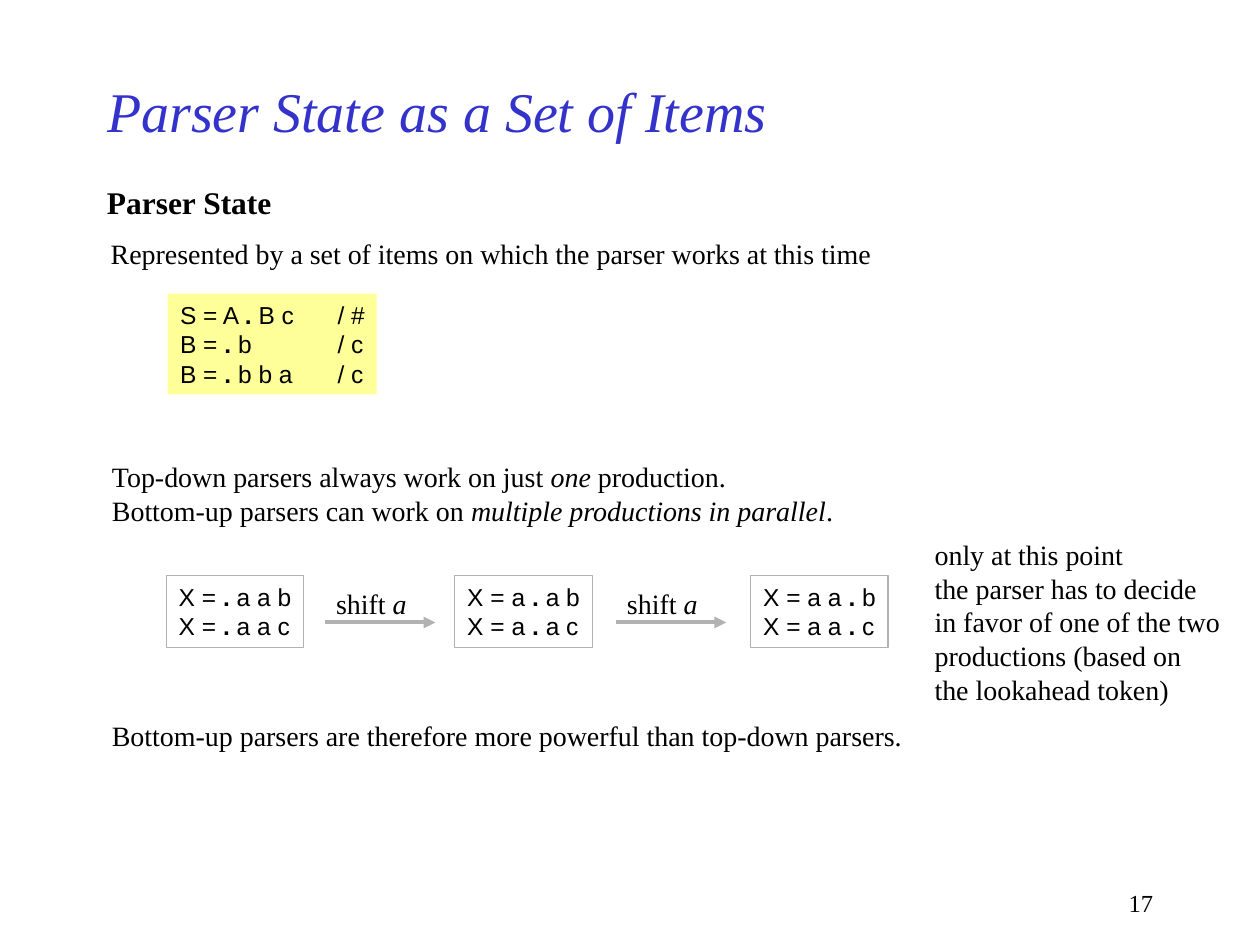
from lxml.etree import SubElement
from pptx import Presentation
from pptx.dml.color import RGBColor
from pptx.enum.shapes import MSO_CONNECTOR as Conn, MSO_SHAPE as Shape
from pptx.enum.text import MSO_ANCHOR as Anchor, MSO_AUTO_SIZE as Auto, PP_ALIGN as Align
from pptx.oxml.ns import qn
from pptx.util import Pt

SERIF, SANS = "Times New Roman", "Arial"
BLACK, BLUE, GRAY, YELLOW = "000000", "3333CC", "B2B2B2", "FFFF99"

# Text between bars is emphasized: italic in prose, bold in items.
TITLE = "Parser State as a Set of Items"
HEAD = "|Parser State|"
PROSE = [  # left, top, width, height, lines
    (56.2, 131.8, 449.3, 26.6,
     ["Represented by a set of items on which the parser works at this time"]),
    (56.9, 259.2, 431.3, 46,
     ["Top-down parsers always work on just |one| production.",
      "Bottom-up parsers can work on |multiple productions in parallel|."]),
    (527, 303.8, 177.1, 103.7,
     ["only at this point", "the parser has to decide", "in favor of one of the two",
      "productions (based on", "the lookahead token)"]),
    (56.9, 406.8, 470.2, 26.6,
     ["Bottom-up parsers are therefore more powerful than top-down parsers."]),
]
ITEMS = ["S = A |.| B c\t/ #", "B = |.| b\t/ c", "B = |.| b b a\t/ c"]
STATES = [  # left, items
    (95, ["X = |.| a a b", "X = |.| a a c"]),
    (259.9, ["X = a |.| a b", "X = a |.| a c"]),
    (429, ["X = a a |.| b", "X = a a |.| c"]),
]
SHIFT = "shift |a|"
ARROWS = [185.8, 352]
ARROW_W, ARROW_Y = 63, 355.7
PAGE = "17"


def color(text):
    return RGBColor.from_string(text)


def write(shape, lines, size, font=SERIF, ink=BLACK, mark="italic",
          align=Align.LEFT, anchor=Anchor.TOP, wrap=False, tab=None):
    """Fill a shape with lines, setting the given mark on parts between bars."""
    frame = shape.text_frame
    frame.auto_size = Auto.NONE
    frame.word_wrap = wrap
    frame.vertical_anchor = anchor
    for i, line in enumerate(lines):
        para = frame.add_paragraph() if i else frame.paragraphs[0]
        para.alignment = align
        if tab:
            stops = SubElement(para._p.get_or_add_pPr(), qn("a:tabLst"))
            SubElement(stops, qn("a:tab"), pos=str(Pt(tab)), algn="l")
        for j, part in enumerate(line.split("|")):
            if part:
                run = para.add_run()
                run.text = part
                run.font.name, run.font.size = font, Pt(size)
                run.font.color.rgb = color(ink)
                if j % 2:
                    setattr(run.font, mark, True)


def add_text(box, lines, size, **style):
    write(slide.shapes.add_textbox(*map(Pt, box)), lines, size, **style)


def add_items(box, lines, fill=None, line=None, tab=None):
    rect = slide.shapes.add_shape(Shape.RECTANGLE, *map(Pt, box))
    rect.shadow.inherit = False
    if fill:
        rect.fill.solid()
        rect.fill.fore_color.rgb = color(fill)
    else:
        rect.fill.background()
    if line:
        rect.line.color.rgb = color(line)
        rect.line.width = Pt(0.75)
    else:
        rect.line.fill.background()
    write(rect, lines, 14, font=SANS, mark="bold", tab=tab)


def add_arrow(left):
    arrow = slide.shapes.add_connector(
        Conn.STRAIGHT, Pt(left), Pt(ARROW_Y), Pt(left + ARROW_W), Pt(ARROW_Y))
    arrow.line.color.rgb = color(GRAY)
    arrow.line.width = Pt(2.25)
    SubElement(arrow.line._get_or_add_ln(), qn("a:tailEnd"), type="triangle")
    SubElement(arrow._element.spPr, qn("a:effectLst"))


deck = Presentation()
deck.slide_width, deck.slide_height = Pt(720), Pt(540)
slide = deck.slides.add_slide(deck.slide_layouts[5])

title = slide.shapes.title
title.left, title.top, title.width, title.height = map(Pt, (54, 36, 540, 54))
write(title, [TITLE], 32, ink=BLUE, anchor=Anchor.MIDDLE, wrap=True)
title.text_frame.paragraphs[0].runs[0].font.italic = True

add_text((54, 100.8, 108.7, 28.8), [HEAD], 18, mark="bold")
for *box, lines in PROSE:
    add_text(box, lines, 16)

add_items((95.8, 167.8, 119.5, 57.6), ITEMS, fill=YELLOW, tab=90)
for left, items in STATES:
    add_items((left, 329, 78.5, 41), items, line=GRAY)
for left in ARROWS:
    add_arrow(left)
    add_text((left - 0.8, 331.9, 54.7, 26.6), [SHIFT], 16)

add_text((516.2, 504, 149.8, 23.8), [PAGE], 14, align=Align.RIGHT, wrap=True)

deck.save("out.pptx")
